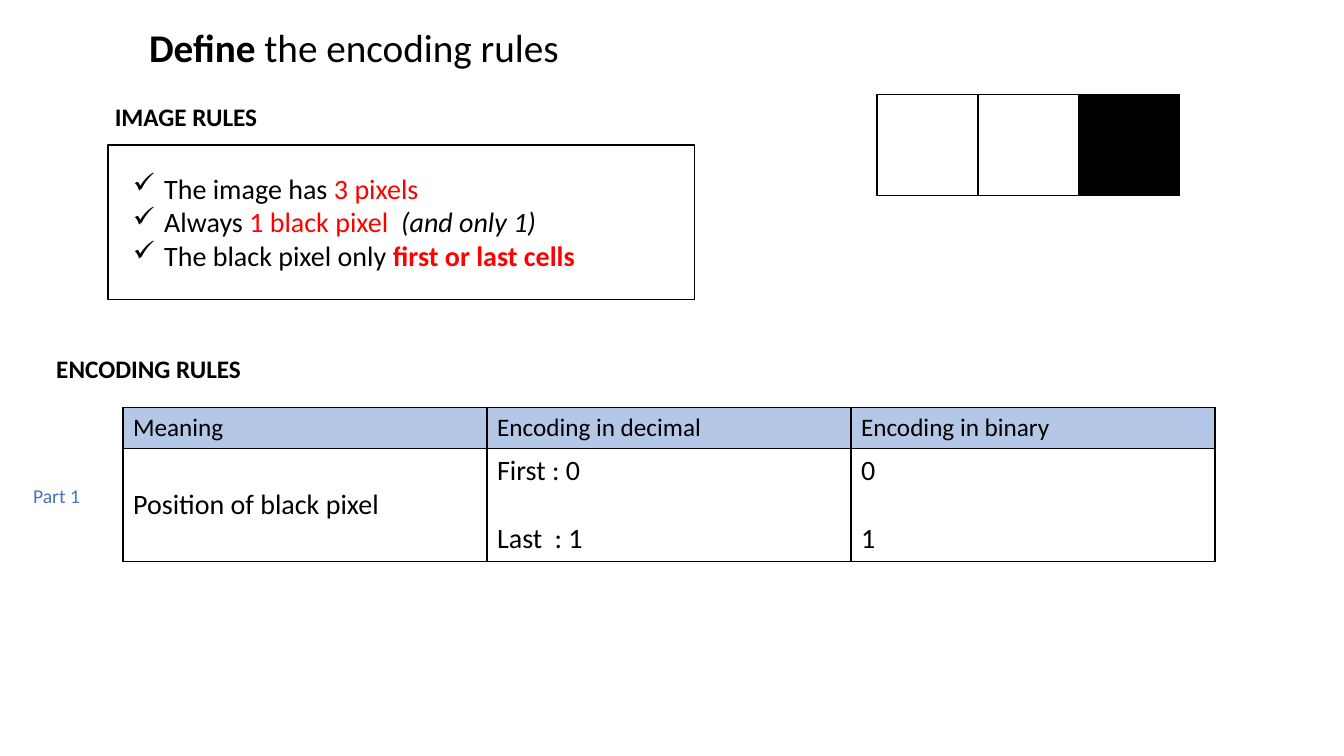
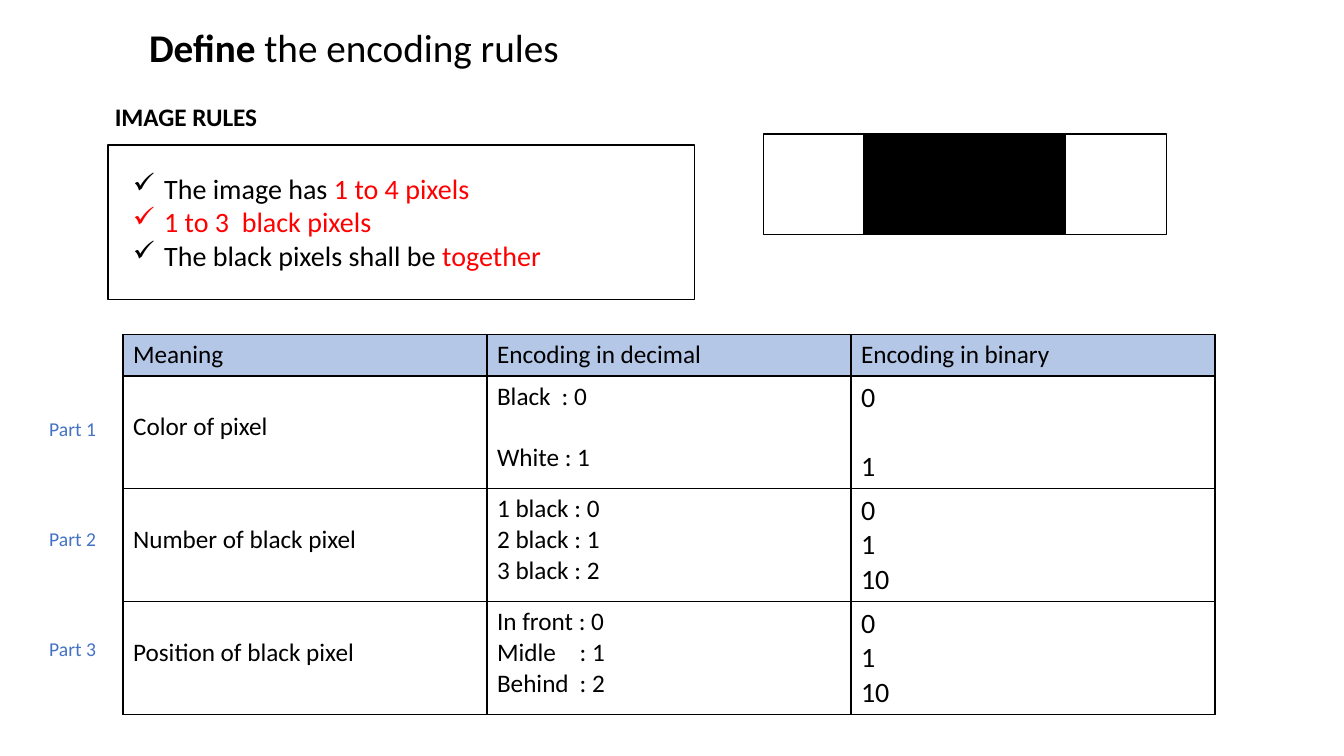
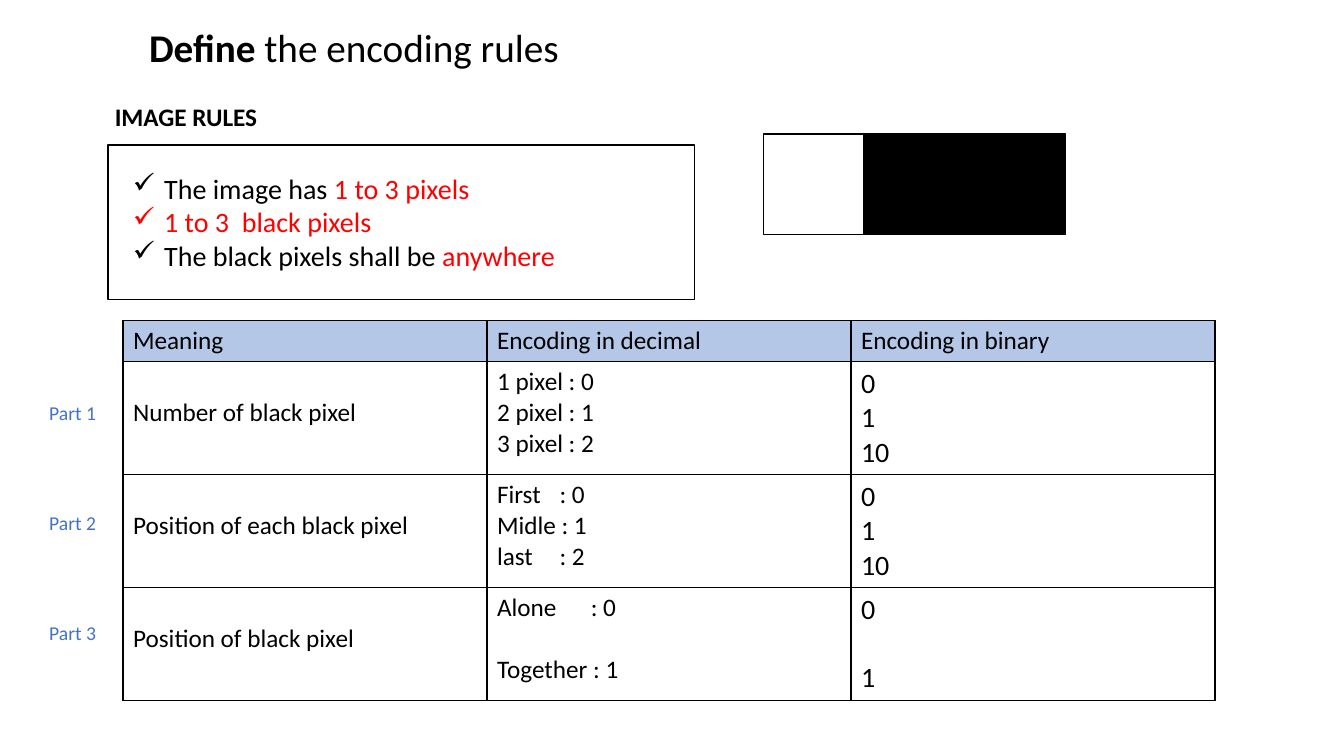
"""Build three slides that define encoding rules for small pixel images."""
import lxml.etree
import pptx
import pptx.dml.color
import pptx.enum.shapes
import pptx.oxml.ns
import pptx.util

Inches = pptx.util.Inches
Pt = pptx.util.Pt

COLORS = {"black": "000000", "white": "FFFFFF", "red": "FF0000",
          "label": "4472C4", "header": "B4C7E7"}
FONT = "Calibri"
LINE_SPACING = 1.22
HEADINGS = ("Meaning", "Encoding in decimal", "Encoding in binary")
COLUMN_WIDTH = 3.61
HEADER_HEIGHT = 0.41
BODY_HEIGHT = 1.12
PART_STEP = 1.09


def rgb(name):
    return pptx.dml.color.RGBColor.from_string(COLORS[name])


def add_xml(parent, tag, **attributes):
    return lxml.etree.SubElement(parent, pptx.oxml.ns.qn(tag), attributes)


def style(font, size, color="black", bold=None):
    font.name, font.size, font.bold = FONT, Pt(size), bold
    font.color.rgb = rgb(color)


def add_text_frame(slide, left, top, width, height, wrap=False):
    box = slide.shapes.add_textbox(Inches(left), Inches(top), Inches(width), Inches(height))
    box.text_frame.word_wrap = wrap
    return box.text_frame


def add_label(slide, text, left, top, width, height, size, color="black", bold=None):
    paragraph = add_text_frame(slide, left, top, width, height).paragraphs[0]
    paragraph.text = text
    style(paragraph.font, size, color, bold)


def add_square_cornered(slide, left, top, width, height, fill=None):
    rectangle = slide.shapes.add_shape(
        pptx.enum.shapes.MSO_SHAPE.RECTANGLE,
        Inches(left), Inches(top), Inches(width), Inches(height))
    rectangle.shadow.inherit = False
    rectangle.line.color.rgb = rgb("black")
    rectangle.line.width = Pt(1)
    if fill:
        rectangle.fill.solid()
        rectangle.fill.fore_color.rgb = rgb(fill)
    else:
        rectangle.fill.background()


def add_title(slide):
    paragraph = add_text_frame(slide, 1.38, 0.18, 4.5, 0.57, wrap=True).paragraphs[0]
    style(paragraph.font, 28)
    verb = paragraph.add_run()
    verb.text = "Define"
    verb.font.bold = True
    paragraph.add_run().text = " the encoding rules"


def add_image_rules(slide, rules, width):
    add_label(slide, "IMAGE RULES", 1.04, 0.96, 1.63, 0.4, 18, bold=True)
    add_square_cornered(slide, 1.07, 1.44, 5.82, 1.53)
    frame = add_text_frame(slide, 1.22, 1.65, width, 1.11)
    for index, rule in enumerate(rules):
        paragraph = frame.add_paragraph() if index else frame.paragraphs[0]
        properties = paragraph._p.get_or_add_pPr()
        properties.set("marL", str(Inches(0.31)))
        properties.set("indent", str(-Inches(0.31)))
        add_xml(properties, "a:buChar", char="✓")
        base_color = rule[0][1]
        style(paragraph.font, 20, base_color)
        for text, color, *emphasis in rule:
            run = paragraph.add_run()
            run.text = text
            if color != base_color:
                run.font.color.rgb = rgb(color)
            if "bold" in emphasis:
                run.font.bold = True
            if "italic" in emphasis:
                run.font.italic = True


def add_pixels(slide, left, top, colors):
    for index, color in enumerate(colors):
        add_square_cornered(slide, left + index, top, 1, 1, color)


def fill_cell(cell, lines, size, fill=None, colon_at=None):
    properties = cell._tc.get_or_add_tcPr()
    for side in ("a:lnL", "a:lnR", "a:lnT", "a:lnB"):
        border = add_xml(properties, side, w=str(Pt(1)))
        add_xml(add_xml(border, "a:solidFill"), "a:srgbClr", val=COLORS["black"])
    if fill:
        cell.fill.solid()
        cell.fill.fore_color.rgb = rgb(fill)
    else:
        cell.fill.background()
    frame = cell.text_frame
    for index, line in enumerate(lines):
        paragraph = frame.add_paragraph() if index else frame.paragraphs[0]
        if colon_at:
            tabs = add_xml(paragraph._p.get_or_add_pPr(), "a:tabLst")
            add_xml(tabs, "a:tab", pos=str(Inches(colon_at)), algn="l")
        paragraph.text = line
        style(paragraph.font, size)
        if index and len(lines) == 2:
            paragraph.space_before = Pt(size * LINE_SPACING)


def add_encoding_table(slide, top, parts, size=18):
    height = HEADER_HEIGHT + BODY_HEIGHT * len(parts)
    table = slide.shapes.add_table(
        len(parts) + 1, len(HEADINGS), Inches(1.22), Inches(top),
        Inches(COLUMN_WIDTH * len(HEADINGS)), Inches(height)).table
    table.first_row = table.horz_banding = False
    for column, heading in enumerate(HEADINGS):
        table.columns[column].width = Inches(COLUMN_WIDTH)
        fill_cell(table.cell(0, column), [heading], 18, "header")
    table.rows[0].height = Inches(HEADER_HEIGHT)
    for row, (meaning, decimals, binaries, colon_at) in enumerate(parts, 1):
        table.rows[row].height = Inches(BODY_HEIGHT)
        meaning_cell, decimal_cell, binary_cell = table.rows[row].cells
        fill_cell(meaning_cell, [meaning], size)
        meaning_cell.margin_top = Inches(0.05) + Pt(size * LINE_SPACING)
        fill_cell(decimal_cell, decimals, size, colon_at=colon_at)
        fill_cell(binary_cell, binaries, 20)


def add_part_labels(slide, count, left, top):
    for index in range(count):
        add_label(slide, f"Part {index + 1}", left, top + index * PART_STEP,
                  0.67, 0.34, 14, "label")


def add_rules_slide(deck, rules, rules_width, pixels, table_top, parts, labels_at, size=18):
    slide = deck.slides.add_slide(deck.slide_layouts[6])
    add_title(slide)
    add_image_rules(slide, rules, rules_width)
    add_pixels(slide, *pixels)
    add_encoding_table(slide, table_top, parts, size)
    add_part_labels(slide, len(parts), *labels_at)
    return slide


def counted_rules(pixel_count, placement):
    return [
        [("The image has ", "black"), (pixel_count, "red")],
        [("1 to 3  black pixels", "red")],
        [("The black pixels shall be ", "black"), (placement, "red")],
    ]


def main():
    deck = pptx.Presentation()
    deck.slide_width, deck.slide_height = Inches(13.33), Inches(7.5)
    two_codes, three_codes = ["0", "1"], ["0", "1", "10"]

    single_pixel_rules = [
        [("The image has ", "black"), ("3 pixels", "red")],
        [("Always ", "black"), ("1 black pixel  ", "red"), ("(and only 1)", "black", "italic")],
        [("The black pixel only ", "black"), ("first or last cells", "red", "bold")],
    ]
    single_pixel = add_rules_slide(
        deck, single_pixel_rules, 4.59, (8.7, 0.94, ["white", "white", "black"]), 4.04,
        [("Position of black pixel", ["First : 0", "Last\t: 1"], two_codes, 0.57)],
        (0.23, 4.75), size=20)
    add_label(single_pixel, "ENCODING RULES", 0.46, 3.46, 2.06, 0.4, 18, bold=True)

    add_rules_slide(
        deck, counted_rules("1 to 4 pixels", "together"), 4.35,
        (7.57, 1.33, ["white", "black", "black", "white"]), 3.32,
        [("Color of pixel", ["Black\t: 0", "White : 1"], two_codes, 0.64),
         ("Number of black pixel", ["1 black : 0", "2 black : 1", "3 black : 2"],
          three_codes, None),
         ("Position of black pixel", ["In front : 0", "Midle\t: 1", "Behind\t: 2"],
          three_codes, 0.82)],
        (0.39, 4.09))

    add_rules_slide(
        deck, counted_rules("1 to 3 pixels", "anywhere"), 4.49,
        (7.57, 1.33, ["white", "black", "black"]), 3.18,
        [("Number of black pixel", ["1 pixel : 0", "2 pixel : 1", "3 pixel : 2"],
          three_codes, None),
         ("Position of each black pixel", ["First\t: 0", "Midle : 1", "last\t: 2"],
          three_codes, 0.62),
         ("Position of black pixel", ["Alone\t: 0", "Together : 1"], two_codes, 0.93)],
        (0.39, 3.93))

    deck.save("out.pptx")


if __name__ == "__main__":
    main()
